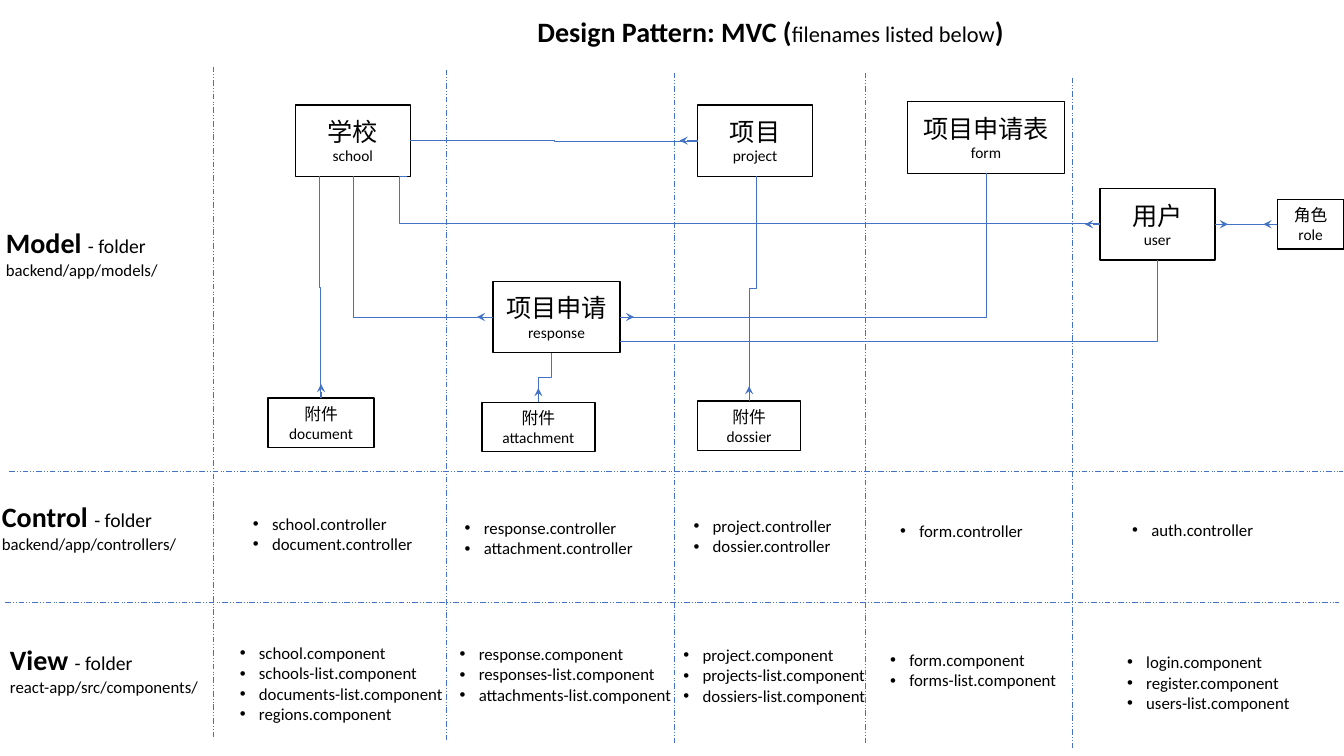
from lxml import etree
from pptx import Presentation
from pptx import util as u
from pptx.dml.color import RGBColor
from pptx.enum import dml, shapes, text
from pptx.oxml.ns import qn

SCALE = 9144  # EMU per px, 100 px to the inch
COLORS = {"ink": "000000", "paper": "FFFFFF", "link": "4472C4"}
FONT = "Calibri"
TOP, LEFT, BOTTOM, RIGHT = range(4)


def px(value):
    return u.Emu(value * SCALE)


def color(name):
    return RGBColor.from_string(COLORS[name])


class Board:
    def __init__(self, page):
        self.page = page

    def style(self, span, size, bold=False):
        span.font.name = FONT
        span.font.size = u.Pt(size)
        span.font.bold = bold
        span.font.color.rgb = color("ink")

    def spans(self, para, parts):
        for words, size, bold in parts:
            span = para.add_run()
            span.text = words
            self.style(span, size, bold)

    def fit(self, frame):
        frame.word_wrap = False
        frame.auto_size = text.MSO_AUTO_SIZE.SHAPE_TO_FIT_TEXT
        frame.vertical_anchor = text.MSO_ANCHOR.TOP

    def textbox(self, left, top, width, height):
        frame = self.page.shapes.add_textbox(*map(px, (left, top, width, height))).text_frame
        self.fit(frame)
        return frame

    def title(self, left, top, width, height, parts):
        title = self.page.shapes.title
        title.left, title.top, title.width, title.height = map(px, (left, top, width, height))
        self.fit(title.text_frame)
        para = title.text_frame.paragraphs[0]
        para.alignment = text.PP_ALIGN.LEFT
        self.spans(para, parts)

    def heading(self, left, top, width, name, folder):
        frame = self.textbox(left, top, width, 64)
        self.spans(frame.paragraphs[0], [(name + " ", 20, True), ("- folder", 14, False)])
        self.spans(frame.add_paragraph(), [(folder, 12, False)])

    def bullets(self, left, top, width, names):
        frame = self.textbox(left, top, width, 10 + 20 * len(names))
        frame.text = "\n".join(names)
        for para in frame.paragraphs:
            self.style(para.runs[0], 12)
            props = para._p.get_or_add_pPr()
            props.set("marL", str(px(19)))
            props.set("indent", str(px(-19)))
            etree.SubElement(props, qn("a:buFont")).set("typeface", "Arial")
            etree.SubElement(props, qn("a:buChar")).set("char", "•")

    def box(self, left, top, width, height, label, name, size):
        box = self.page.shapes.add_shape(
            shapes.MSO_SHAPE.RECTANGLE, *map(px, (left, top, width, height)))
        box.shadow.inherit = False
        box.fill.solid()
        box.fill.fore_color.rgb = color("paper")
        box.line.color.rgb = color("ink")
        box.line.width = u.Pt(1)
        frame = box.text_frame
        frame.vertical_anchor = text.MSO_ANCHOR.MIDDLE
        frame.text = f"{label}\n{name}"
        for para, points in zip(frame.paragraphs, (size, 11)):
            para.alignment = text.PP_ALIGN.CENTER
            self.style(para.runs[0], points)
        return box

    def line(self, start, end, kind=shapes.MSO_CONNECTOR.STRAIGHT):
        line = self.page.shapes.add_connector(kind, *map(px, start + end))
        line.line.color.rgb = color("link")
        line.line.width = u.Pt(0.5)
        etree.SubElement(line.element.spPr, qn("a:effectLst"))
        return line

    def divider(self, start, end):
        self.line(start, end).line.dash_style = dml.MSO_LINE.DASH_DOT_DOT

    def arrow(self, box, site, length):
        """Short arrow pointing away from the middle of a box side."""
        step_x, step_y = ((0, -1), (-1, 0), (0, 1), (1, 0))[site]
        x = box.left + box.width * (1 + step_x) // 2
        y = box.top + box.height * (1 + step_y) // 2
        line = self.line((0, 0), (0, 0))
        line.begin_x, line.begin_y = x, y
        line.end_x, line.end_y = x + step_x * px(length), y + step_y * px(length)
        line.begin_connect(box, site)
        etree.SubElement(line.line._get_or_add_ln(), qn("a:tailEnd")).set("type", "stealth")

    def elbow(self, start, end, bends, begin=None, finish=None, down=False, adjust=None):
        """Bent link; with down=True it leaves its start vertically."""
        line = self.line(start, end, shapes.MSO_CONNECTOR.ELBOW)
        if begin:
            line.begin_connect(*begin)
        if finish:
            line.end_connect(*finish)
        (x1, y1), (x2, y2) = start, end
        width, height = abs(x2 - x1), abs(y2 - y1)
        if down:
            width, height = height, width
        line.left = u.Emu((x1 + x2 - width) * SCALE // 2)
        line.top = u.Emu((y1 + y2 - height) * SCALE // 2)
        line.width, line.height = px(width), px(height)
        frame = line.element.spPr.find(qn("a:xfrm"))
        for name in ("flipH", "flipV"):
            frame.attrib.pop(name, None)
        if down:
            frame.set("rot", str((270 if x2 > x1 else 90) * 60000))
            if x2 > x1:
                frame.set("flipH", "1")
        elif y2 < y1:
            frame.set("flipV", "1")
        shape = line.element.spPr.find(qn("a:prstGeom"))
        shape.set("prst", f"bentConnector{bends + 1}")
        if adjust is not None:
            guide = etree.SubElement(shape.find(qn("a:avLst")), qn("a:gd"))
            guide.set("name", "adj1")
            guide.set("fmla", f"val {adjust}")


def main():
    deck = Presentation()
    deck.slide_width, deck.slide_height = u.Inches(13.33), u.Inches(7.5)
    board = Board(deck.slides.add_slide(deck.slide_layouts[5]))
    board.title(523, 9, 488, 44, [("Design Pattern: MVC (", 20, True),
                                  ("filenames listed below", 16, False), (")", 20, True)])

    # Model boxes
    school = board.box(293, 104, 114, 71, "学校", "school", 18)
    project = board.box(692, 104, 114, 71, "项目", "project", 18)
    response = board.box(489, 279, 126, 71, "项目申请", "response", 18)
    form = board.box(900, 101, 156, 71, "项目申请表", "form", 18)
    user = board.box(1091, 187, 114, 71, "用户", "user", 18)
    document = board.box(266, 395, 105, 49, "附件", "document", 12)
    dossier = board.box(692, 398, 102, 49, "附件", "dossier", 12)
    attachment = board.box(478, 399, 112, 49, "附件", "attachment", 12)
    role = board.box(1267, 198, 66, 49, "角色", "role", 12)

    # Links between models
    board.elbow((350, 175), (489, 315), 1, (school, BOTTOM), (response, LEFT), down=True)
    board.elbow((615, 315), (978, 172), 1, (response, RIGHT), (form, BOTTOM))
    board.elbow((407, 139), (692, 140), 2, (school, RIGHT), (project, LEFT))
    board.elbow((404, 175), (1091, 222), 2, finish=(user, LEFT), adjust=-1200)
    board.elbow((615, 339), (1148, 258), 1, finish=(user, BOTTOM))
    board.elbow((317, 175), (318, 395), 2, finish=(document, TOP), down=True)
    board.elbow((750, 175), (743, 398), 2, (project, BOTTOM), (dossier, TOP), down=True)
    board.elbow((547, 350), (534, 399), 2, finish=(attachment, TOP), down=True)
    role_link = board.line((1267, 222), (1205, 222))
    role_link.begin_connect(role, LEFT)
    role_link.end_connect(user, RIGHT)

    # Arrowheads at the "many" ends
    for box, site, length in (
            (response, LEFT, 16), (response, RIGHT, 14), (project, LEFT, 18),
            (user, LEFT, 15), (user, RIGHT, 13), (role, LEFT, 14),
            (attachment, TOP, 14), (dossier, TOP, 15), (document, TOP, 14)):
        board.arrow(box, site, length)

    # Dividers
    for x, top in ((212, 66), (443, 69), (669, 72), (858, 72), (1064, 77)):
        board.divider((x, top), (x, top + 665))
    for left, y in ((9, 468), (5, 598)):
        board.divider((left, y), (left + 1323, y))

    # Row headings
    board.heading(-4, 219, 172, "Model", "backend/app/models/")
    board.heading(-8, 491, 195, "Control", "backend/app/controllers/")
    board.heading(0, 633, 209, "View", "react-app/src/components/")

    # Controllers and components
    for suffix, lists in (
            (".controller", (
                (241, 505, 180, ("school", "document")),
                (451, 509, 189, ("response", "attachment")),
                (678, 507, 158, ("project", "dossier")),
                (883, 512, 143, ("form",)),
                (1113, 511, 141, ("auth",)))),
            (".component", (
                (228, 633, 223, ("school", "schools-list", "documents-list", "regions")),
                (446, 634, 232, ("response", "responses-list", "attachments-list")),
                (668, 635, 202, ("project", "projects-list", "dossiers-list")),
                (873, 640, 186, ("form", "forms-list")),
                (1108, 642, 183, ("login", "register", "users-list"))))):
        for left, top, width, names in lists:
            board.bullets(left, top, width, [name + suffix for name in names])

    deck.save("out.pptx")


if __name__ == "__main__":
    main()
